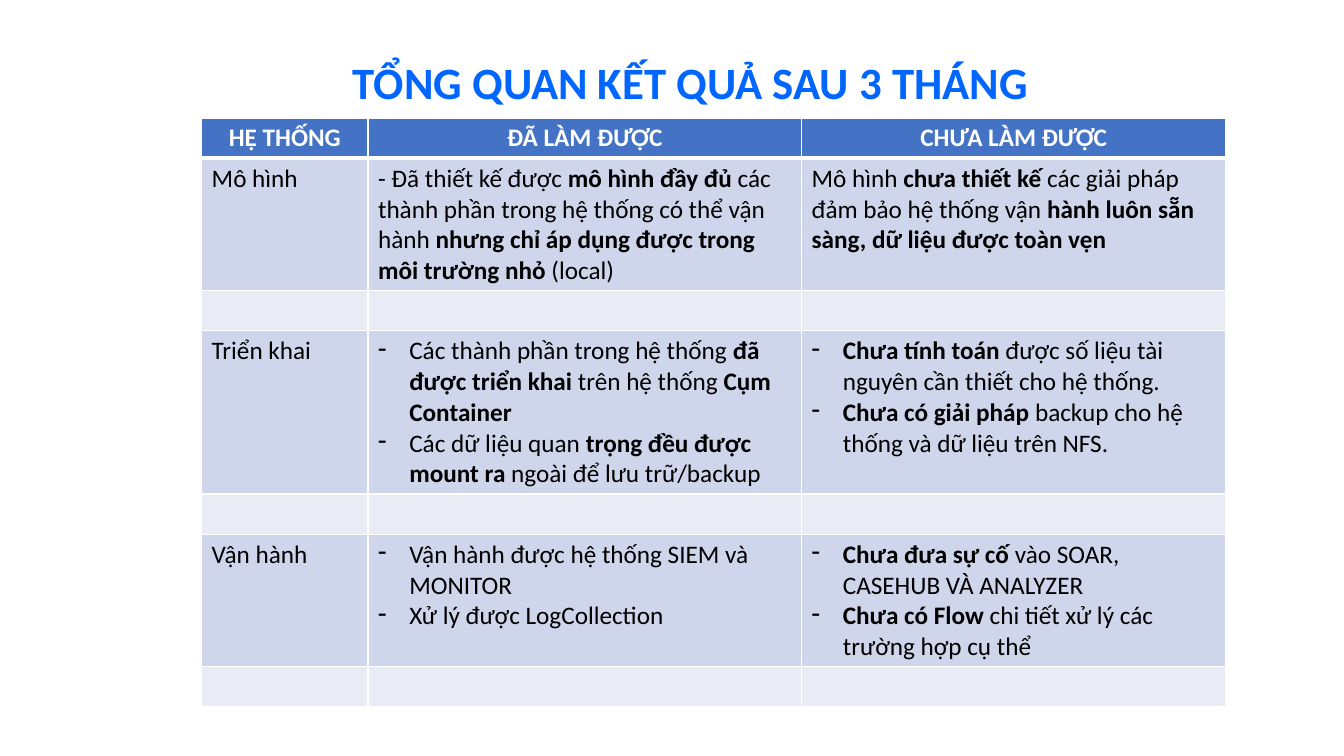
from lxml import etree
from pptx import Presentation
from pptx import util as u
from pptx.dml.color import RGBColor
from pptx.enum import text
from pptx.oxml import ns

BLUE = RGBColor(0x00, 0x66, 0xFF)
HEAD = RGBColor(0x44, 0x72, 0xC4)
BAND = RGBColor(0xCF, 0xD5, 0xEA)
PALE = RGBColor(0xE9, 0xEB, 0xF5)
WHITE = RGBColor(0xFF, 0xFF, 0xFF)
BLACK = RGBColor(0x00, 0x00, 0x00)

TITLE = "TỔNG QUAN KẾT QUẢ SAU 3 THÁNG"
HEADS = ["HỆ THỐNG", "ĐÃ LÀM ĐƯỢC", "CHƯA LÀM ĐƯỢC"]
TOPICS = [
    (1.31, [
        "Mô hình",
        "- Đã thiết kế được *mô hình đầy đủ *các thành phần trong hệ thống "
        "có thể vận hành *nhưng chỉ áp dụng được trong môi trường nhỏ *(local)",
        "Mô hình *chưa thiết kế *các giải pháp đảm bảo hệ thống vận "
        "*hành luôn sẵn sàng, dữ liệu được toàn vẹn*",
    ]),
    (1.62, [
        "Triển khai",
        ["Các thành phần trong hệ thống *đã được triển khai *trên hệ thống "
         "*Cụm Container*",
         "Các dữ liệu quan *trọng đều được mount ra *ngoài để lưu trữ/backup"],
        ["*Chưa tính toán *được số liệu tài nguyên cần thiết cho hệ thống.",
         "*Chưa có giải pháp* backup cho hệ thống và dữ liệu trên NFS."],
    ]),
    (1.31, [
        "Vận hành",
        ["Vận hành được hệ thống SIEM và MONITOR",
         "Xử lý được LogCollection"],
        ["*Chưa đưa sự cố *vào SOAR, CASEHUB VÀ ANALYZER",
         "*Chưa có Flow *chi tiết xử lý các trường hợp cụ thể"],
    ]),
]
WIDTHS = [1.65, 4.3, 4.21]
SHORT = 0.4


class Deck:
    """Hold the font and the current slide, and draw its elements."""

    def __init__(self, font):
        self.font = font
        self.show = Presentation()
        self.show.slide_width = u.Inches(13.33)
        self.show.slide_height = u.Inches(7.5)
        self.slide = self.show.slides.add_slide(self.show.slide_layouts[6])

    def style(self, run, size, color, bold):
        run.font.name = self.font
        run.font.size = u.Pt(size)
        run.font.color.rgb = color
        run.font.bold = bold

    def title(self, words, *box):
        frame = self.slide.shapes.add_textbox(*map(u.Inches, box)).text_frame
        frame.word_wrap = True
        frame.vertical_anchor = text.MSO_ANCHOR.MIDDLE
        frame.text = words
        para = frame.paragraphs[0]
        para.alignment = text.PP_ALIGN.CENTER
        para.line_spacing = 1.2
        self.style(para.runs[0], 32, BLUE, True)

    def bullet(self, para):
        props = para._p.get_or_add_pPr()
        props.set("marL", str(u.Inches(0.31)))
        props.set("indent", str(-u.Inches(0.31)))
        etree.SubElement(props, ns.qn("a:buChar"), char="-")

    def border(self, cell, top, base):
        props = cell._tc.get_or_add_tcPr()
        for side, width in zip("LRTB", (1, 1, top, base)):
            line = etree.SubElement(props, ns.qn(f"a:ln{side}"),
                                    w=str(u.Pt(width)))
            fill = etree.SubElement(line, ns.qn("a:solidFill"))
            etree.SubElement(fill, ns.qn("a:srgbClr"), val=str(WHITE))

    def label(self, cell, words, head):
        lines = words if isinstance(words, list) else [words]
        frame = cell.text_frame
        for i, line in enumerate(lines):
            para = frame.add_paragraph() if i else frame.paragraphs[0]
            if head:
                para.alignment = text.PP_ALIGN.CENTER
            if lines is words:
                self.bullet(para)
            for j, part in enumerate(line.split("*")):
                if part:
                    run = para.add_run()
                    run.text = part
                    self.style(run, 18, WHITE if head else BLACK,
                               head or j % 2 == 1)

    def table(self, rows, widths, left, top):
        size = sum(widths), sum(row[0] for row in rows)
        grid = self.slide.shapes.add_table(
            len(rows), len(widths),
            *map(u.Inches, (left, top, *size))).table
        for col, width in zip(grid.columns, widths):
            col.width = u.Inches(width)
        for r, (high, fill, cells) in enumerate(rows):
            grid.rows[r].height = u.Inches(high)
            for c, words in enumerate(cells):
                cell = grid.cell(r, c)
                self.border(cell, 3 if r == 1 else 1, 3 if r == 0 else 1)
                cell.fill.solid()
                cell.fill.fore_color.rgb = fill
                self.label(cell, words, r == 0)


def main():
    deck = Deck("Calibri")
    deck.title(TITLE, 1.1, 0.36, 11.5, 0.8)
    rows = [(SHORT, HEAD, HEADS)]
    for high, cells in TOPICS:
        rows += [(high, BAND, cells), (SHORT, PALE, [""] * len(WIDTHS))]
    deck.table(rows, WIDTHS, 2, 1.17)
    deck.show.save("out.pptx")


if __name__ == "__main__":
    main()
